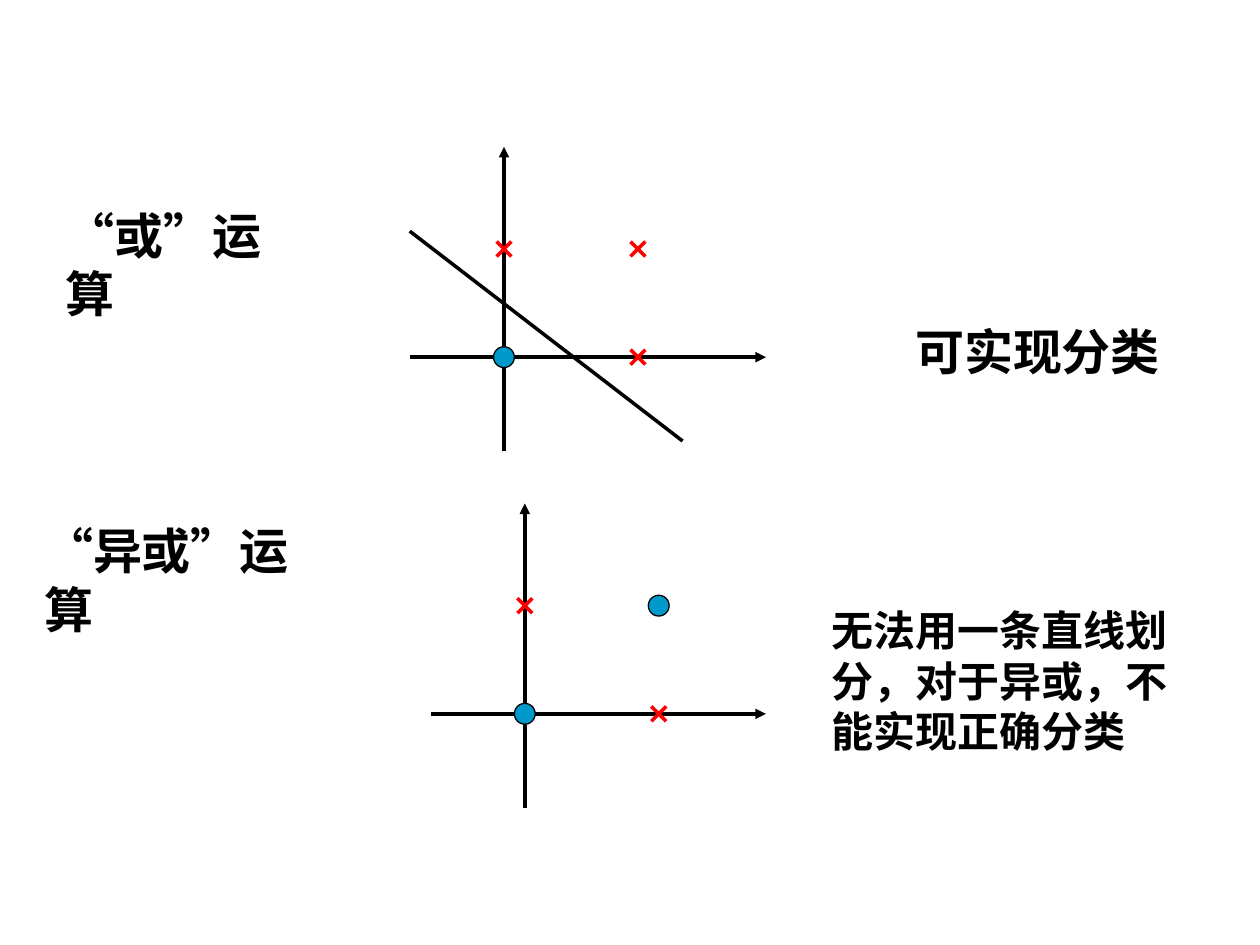
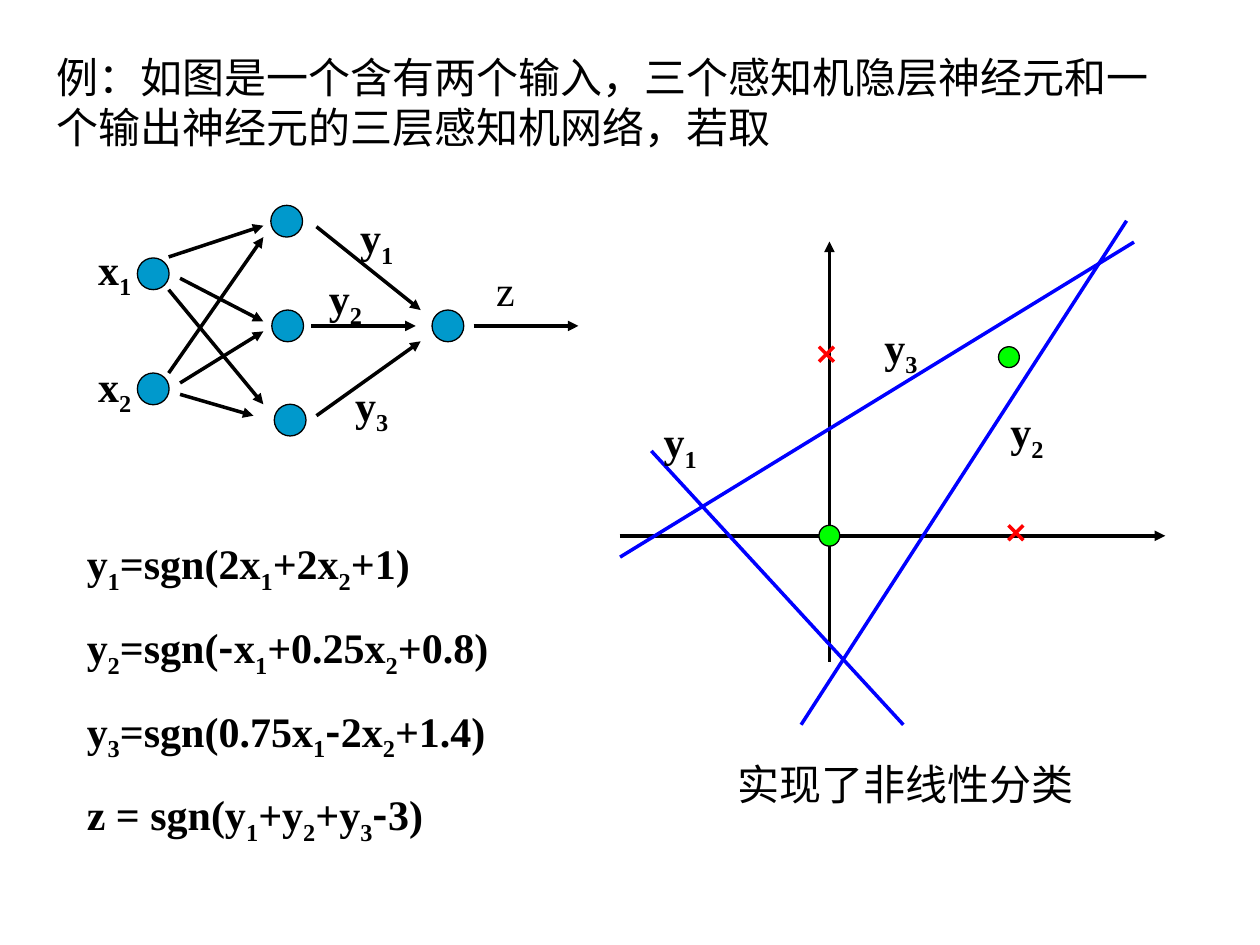
from itertools import groupby

from lxml import etree
from pptx import Presentation
from pptx import util as u
from pptx.dml import color
from pptx.enum import lang, shapes as kinds, text
from pptx.oxml import ns

BLACK, RED, BLUE, TEAL, GREEN = "000000", "FF0000", "0000FF", "0099CC", "00FF00"
CHINESE_FONT, LATIN_FONT = "Noto Sans CJK SC", "Times New Roman"
HEADING = {"size": u.Pt(28), "bold": True}
BOLD = {"size": u.Pt(24), "bold": True}
PLAIN = {"size": u.Pt(24), "bold": False}
POINT_SIZE, NEURON_SIZE, CROSS_REACH = 0.42, 0.64, 0.15


def set_color(target, hex_color):
    """Give a fill or font colour the hex value."""
    target.rgb = color.RGBColor.from_string(hex_color)


def add_line(shapes, start, end, hex_color=BLACK, arrow=False):
    """Draw a straight line, optionally with an arrowhead at its end."""
    line = shapes.add_connector(
        kinds.MSO_CONNECTOR.STRAIGHT, *(u.Cm(value) for value in (*start, *end))
    )
    line.line.width = u.Pt(2)
    set_color(line.line.color, hex_color)
    properties = line._element.spPr
    if arrow:
        etree.SubElement(properties.find(ns.qn("a:ln")), ns.qn("a:tailEnd"), type="triangle")
    etree.SubElement(properties, ns.qn("a:effectLst"))


def add_circle(shapes, center, size, hex_color):
    """Draw a thinly outlined circle around its centre."""
    left, top = (u.Cm(value - size / 2) for value in center)
    circle = shapes.add_shape(kinds.MSO_SHAPE.OVAL, left, top, u.Cm(size), u.Cm(size))
    circle.shadow.inherit = False
    circle.fill.solid()
    set_color(circle.fill.fore_color, hex_color)
    set_color(circle.line.color, BLACK)
    circle.line.width = u.Pt(0.75)


def add_cross(shapes, center):
    """Draw a grouped red cross around its centre."""
    x, y = center
    group = shapes.add_group_shape()
    for side in (1, -1):
        add_line(
            group.shapes,
            (x + side * CROSS_REACH, y - CROSS_REACH),
            (x - side * CROSS_REACH, y + CROSS_REACH),
            RED,
        )


def styled_characters(source):
    """Yield each character with its font and whether an underscore lowers it."""
    lowered = False
    for character in source:
        if character == "_":
            lowered = True
            continue
        chinese = character == "-" or ord(character) > 0x2000
        yield character, (CHINESE_FONT if chinese else LATIN_FONT, lowered)
        lowered = False


def add_run(paragraph, content, font_name, lowered, style):
    """Add a run in the given font, as a subscript if lowered."""
    run = paragraph.add_run()
    run.text = content
    for name, value in {**style, "name": font_name}.items():
        setattr(run.font, name, value)
    set_color(run.font.color, BLACK)
    properties = run._r.get_or_add_rPr()
    if lowered:
        properties.set("baseline", "-25000")
    if font_name == CHINESE_FONT:
        run.font.language_id = lang.MSO_LANGUAGE_ID.SIMPLIFIED_CHINESE
        etree.SubElement(properties, ns.qn("a:ea"), typeface=font_name)


def add_text(shapes, box, lines, style):
    """Add a wrapping text box with one paragraph for each line."""
    frame = shapes.add_textbox(*(u.Cm(value) for value in box)).text_frame
    frame.word_wrap = True
    frame.auto_size = text.MSO_AUTO_SIZE.SHAPE_TO_FIT_TEXT
    for index, line in enumerate(lines):
        paragraph = frame.add_paragraph() if index else frame.paragraphs[0]
        if index:
            paragraph.space_before = u.Pt(15)
        for (font_name, lowered), pairs in groupby(styled_characters(line), lambda pair: pair[1]):
            content = "".join(character for character, _ in pairs)
            add_run(paragraph, content, font_name, lowered, style)


def add_label(shapes, content, left, top, style=BOLD):
    """Add a short variable name."""
    add_text(shapes, (left, top, 1.27, 1.42), [content], style)


def add_plot(shapes, origin, reach, crosses, dots, dot_color):
    """Draw two axes and the points, placed relative to the origin."""
    x, y = origin
    left, right, up, down = reach
    add_line(shapes, (x - left, y), (x + right, y), arrow=True)
    add_line(shapes, (x, y + down), (x, y - up), arrow=True)
    for across, above in dots:
        add_circle(shapes, (x + across, y - above), POINT_SIZE, dot_color)
    for across, above in crosses:
        add_cross(shapes, (x + across, y - above))


def add_network(shapes):
    """Draw the three-layer perceptron network with its labels."""
    neurons = [(3.09, 5.52), (3.09, 7.84), (5.78, 4.46), (5.8, 6.57), (5.85, 8.47), (9.03, 6.57)]
    for center in neurons:
        add_circle(shapes, center, NEURON_SIZE, TEAL)
    links = [
        ((3.4, 5.18), (5.31, 4.55)),
        ((3.63, 5.61), (5.31, 6.48)),
        ((3.4, 5.84), (5.31, 8.15)),
        ((3.4, 7.52), (5.31, 4.78)),
        ((3.63, 7.72), (5.31, 6.68)),
        ((3.63, 7.95), (5.11, 8.38)),
        ((6.38, 4.57), (8.48, 6.25)),
        ((6.27, 6.57), (8.38, 6.57)),
        ((6.38, 8.38), (8.48, 6.88)),
        ((9.55, 6.57), (11.66, 6.57)),
    ]
    for start, end in links:
        add_line(shapes, start, end, arrow=True)


def build_operations(shapes):
    """Compare the OR and XOR operations."""
    side_x, side_y = 2.7, 2.18
    corners = [(0, side_y), (side_x, 0)]
    far_corner = (side_x, side_y)
    add_text(shapes, (1.07, 4.01, 4.88, 2.64), ["“或”运算"], HEADING)
    add_plot(shapes, (10.16, 7.2), (1.9, 5.28, 4.24, 1.9), [*corners, far_corner], [(0, 0)], TEAL)
    add_line(shapes, (8.26, 4.66), (13.76, 8.89))
    add_text(shapes, (18.2, 6.35, 6.35, 1.45), ["可实现分类"], HEADING)
    add_text(shapes, (0.64, 10.37, 5.72, 2.64), ["“异或”运算"], HEADING)
    add_plot(shapes, (10.58, 14.39), (1.9, 4.86, 4.24, 1.9), corners, [(0, 0), far_corner], TEAL)
    conclusion = "无法用一条直线划分，对于异或，不能实现正确分类"
    add_text(shapes, (16.51, 12.07, 8.04, 3.3), [conclusion], BOLD)


def build_example(shapes):
    """Show the example network, its equations and its decision lines."""
    question = "例：如图是一个含有两个输入，三个感知机隐层神经元和一个输出神经元的三层感知机网络，若取"
    add_text(shapes, (0.89, 0.91, 22.86, 2.29), [question], PLAIN)
    add_network(shapes)
    equations = [
        "y_1=sgn(2x_1+2x_2+1)",
        "y_2=sgn(-x_1+0.25x_2+0.8)",
        "y_3=sgn(0.75x_1-2x_2+1.4)",
        "z = sgn(y_1+y_2+y_3-3)",
    ]
    add_text(shapes, (1.5, 10.72, 9.96, 6.48), equations, BOLD)
    crosses, dots = [(-0.06, 3.66), (3.76, 0.06)], [(0, 0), (3.62, 3.6)]
    add_plot(shapes, (16.72, 10.8), (4.23, 6.77, 5.93, 2.54), crosses, dots, GREEN)
    decision_lines = [
        ((12.5, 11.23), (22.86, 4.88)),
        ((16.15, 14.61), (22.71, 4.45)),
        ((13.13, 9.09), (18.21, 14.61)),
    ]
    for start, end in decision_lines:
        add_line(shapes, start, end, BLUE)
    labels = [
        ("x_1", 1.73, 4.78),
        ("x_2", 1.73, 7.14),
        ("y_1", 7.01, 4.14),
        ("y_2", 6.38, 5.36),
        ("y_3", 6.91, 7.52),
        ("y_1", 13.13, 8.26),
        ("y_2", 20.12, 8.05),
        ("y_3", 17.58, 6.35),
    ]
    for content, left, top in labels:
        add_label(shapes, content, left, top)
    add_label(shapes, "z", 9.75, 5.21, PLAIN)
    add_text(shapes, (14.61, 15.16, 8.05, 1.27), ["实现了非线性分类"], PLAIN)


def main():
    """Build both slides and save the presentation."""
    presentation = Presentation()
    presentation.slide_width, presentation.slide_height = u.Cm(25.4), u.Cm(19.05)
    for build in (build_operations, build_example):
        slide = presentation.slides.add_slide(presentation.slide_layouts[6])
        build(slide.shapes)
    presentation.save("out.pptx")


if __name__ == "__main__":
    main()
